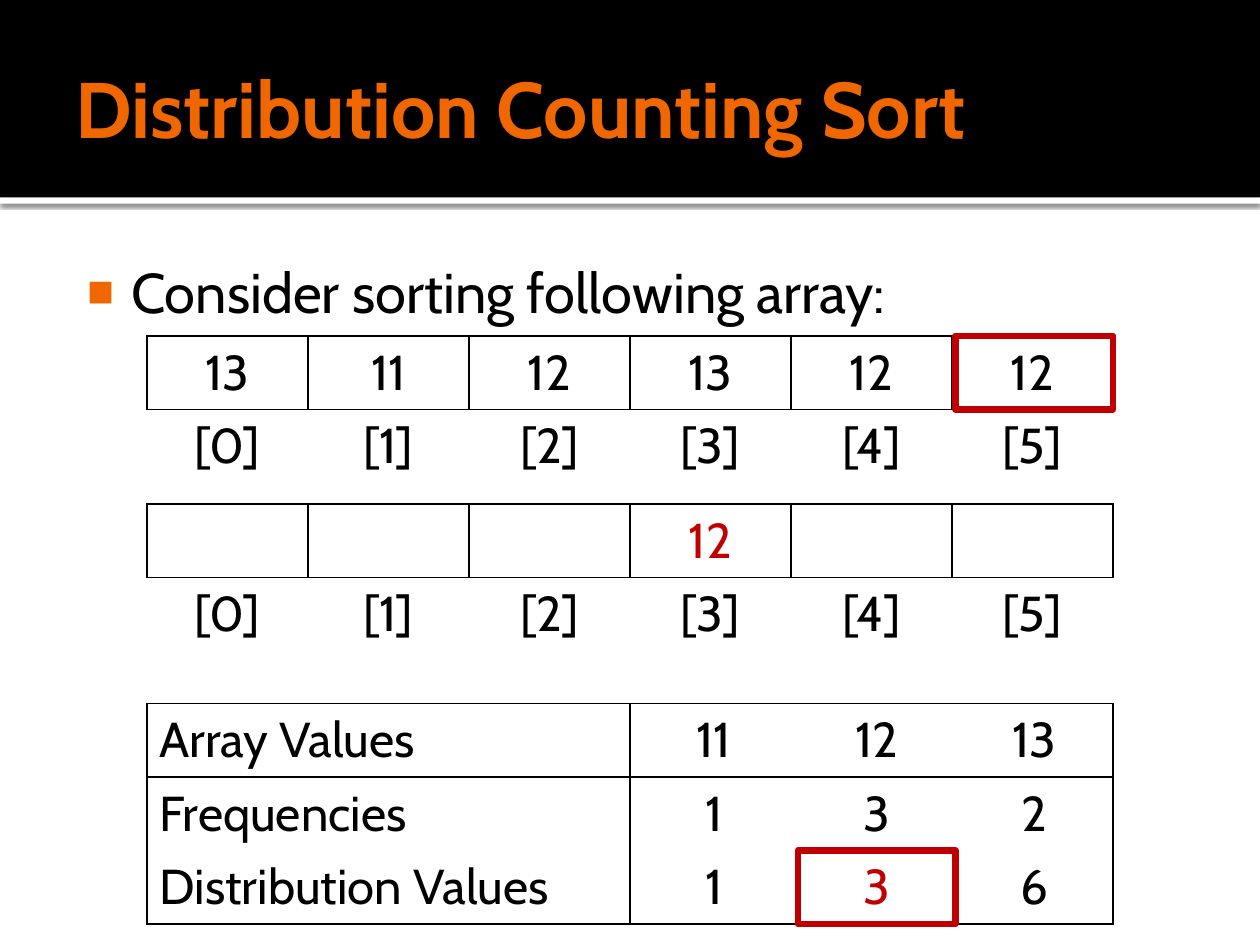
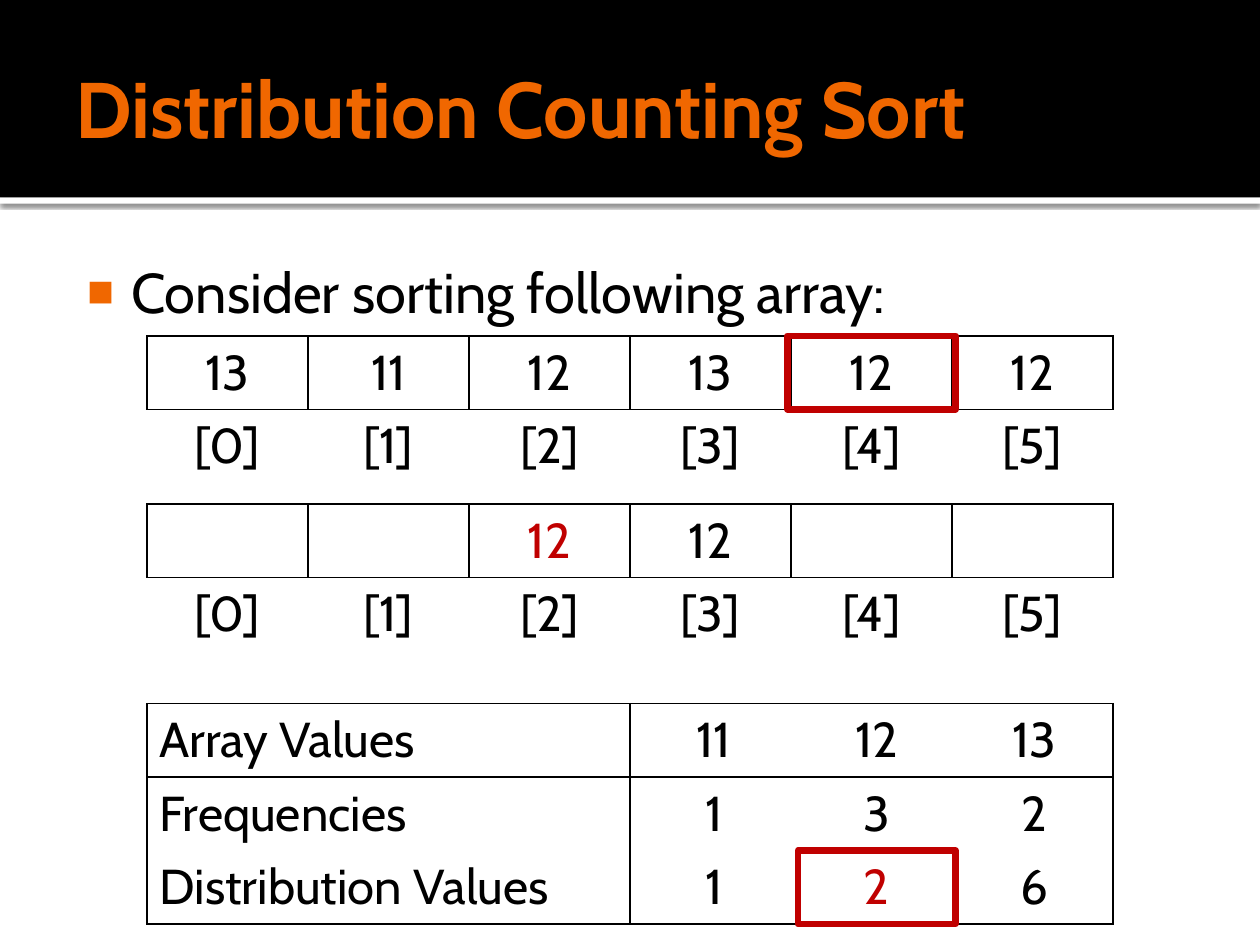
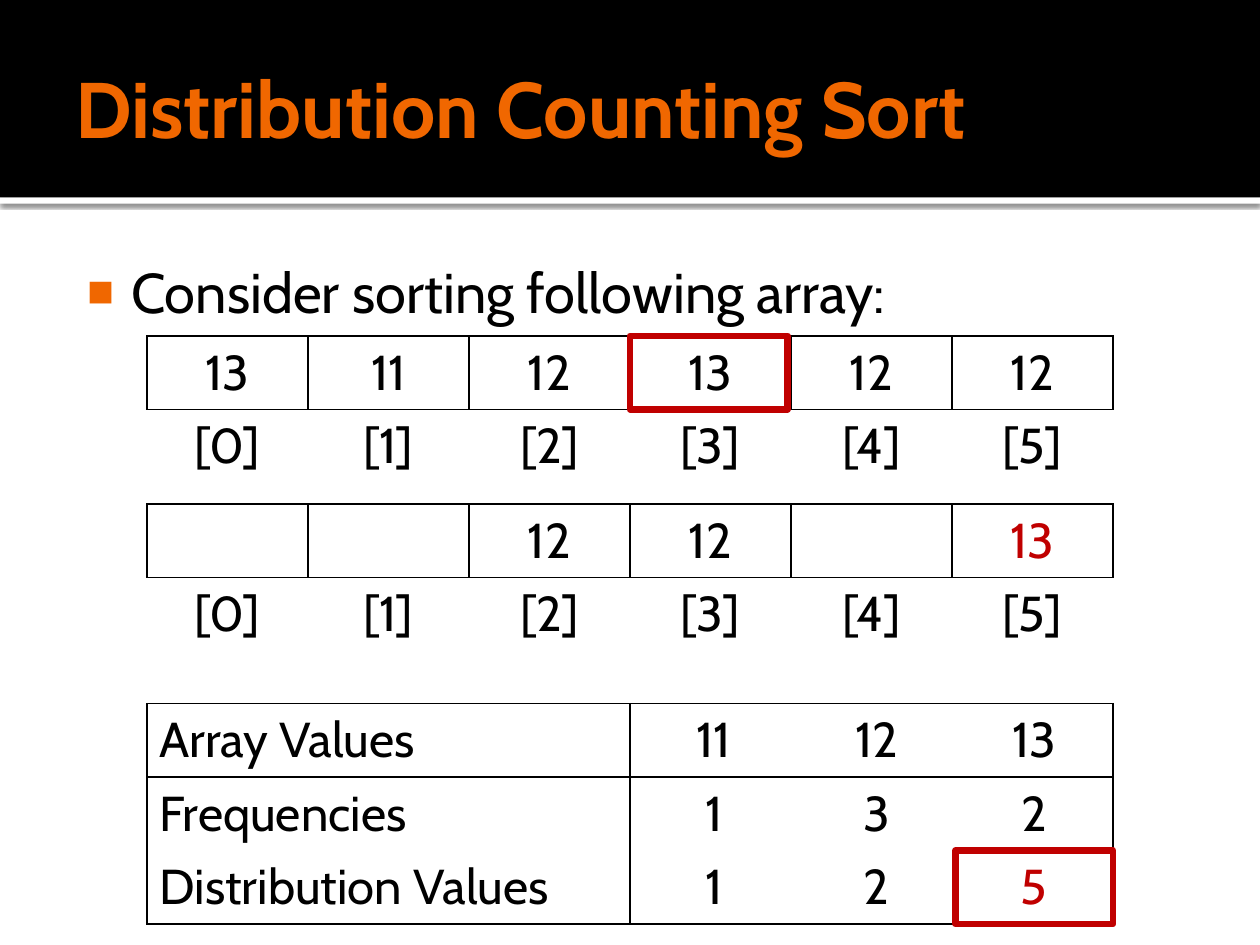
from lxml import etree
from pptx import Presentation, util as u
from pptx.dml.color import RGBColor
from pptx.enum import shapes, text
from pptx.oxml.ns import qn

PX = 7620  # 120 px to the inch
FONT = "Cabin"
BLACK, WHITE, ORANGE, RED = "000000", "FFFFFF", "F06700", "C00000"
TABLE_LEFT, TABLE_WIDTH, ROW_HEIGHT = 140, 920, 70
ARRAY = [13, 11, 12, 13, 12, 12]
COUNT_COLS = [460, 160, 150, 150]

# mark: left and width of the frame on the array; placed: output by index;
# slot: index just filled; dist: distribution values; used: its column
STEPS = [
    dict(mark=(910, 150), placed={3: 12}, slot=3, dist=[1, 3, 6], used=2),
    dict(mark=(750, 160), placed={2: 12, 3: 12}, slot=2, dist=[1, 2, 6], used=2),
    dict(mark=(600, 150), placed={2: 12, 3: 12, 5: 13}, slot=5, dist=[1, 2, 5], used=3),
]


def rgb(color):
    return RGBColor.from_string(color)


def px(*lengths):
    return [u.Emu(round(n * PX)) for n in lengths]


def add(parent, tag, **attrs):
    return etree.SubElement(parent, qn(tag), {k: str(v) for k, v in attrs.items()})


def set_font(font, size, color=BLACK, bold=False):
    values = dict(name=FONT, size=u.Pt(size), bold=bold)
    for name, value in values.items():
        setattr(font, name, value)
    font.color.rgb = rgb(color)


def add_rect(s, box, fill=None, line=None):
    sp = s.shapes.add_shape(shapes.MSO_SHAPE.RECTANGLE, *px(*box))
    sp.shadow.inherit = False
    if fill:
        sp.fill.solid()
        sp.fill.fore_color.rgb = rgb(fill)
    else:
        sp.fill.background()
    if line:
        sp.line.color.rgb = rgb(line)
        sp.line.width = u.Pt(3.78)
        add(sp._element.spPr.find(qn("a:ln")), "a:round")
    else:
        sp.line.fill.background()
    return sp


def add_text(s, box, insets, anchor):
    """Add a wrapping text box and return its first paragraph."""
    tf = s.shapes.add_textbox(*px(*box)).text_frame
    tf.word_wrap = True
    tf.vertical_anchor = anchor
    for side, inset in zip(("left", "top", "right", "bottom"), px(*insets)):
        setattr(tf, f"margin_{side}", inset)
    return tf.paragraphs[0]


def add_header(s, width, height):
    strip = add_rect(s, (0, height, width, 6), WHITE)
    effects = strip._element.spPr.find(qn("a:effectLst"))
    shadow = add(effects, "a:outerShdw", blurRad=u.Pt(2.5), dist=u.Pt(0.8),
                 dir=90 * 60000, algn="tl", rotWithShape=0)
    add(add(shadow, "a:srgbClr", val=BLACK), "a:alpha", val=60000)
    add_rect(s, (0, 0, width, height), BLACK)
    p = add_text(s, (60, 20, width - 120, 164), (12, 6, 6, 6), text.MSO_ANCHOR.MIDDLE)
    p.text = "Distribution Counting Sort"
    set_font(p.font, 45, ORANGE, True)


def add_bullet(s, box):
    p = add_text(s, box, (7, 12, 12, 6), text.MSO_ANCHOR.TOP)
    pPr = p._p.get_or_add_pPr()
    indent, hanging = px(58, -42)
    pPr.set("marL", str(indent))
    pPr.set("indent", str(hanging))
    add(add(pPr, "a:buClr"), "a:srgbClr", val=ORANGE)
    add(pPr, "a:buSzPct", val=80000)
    add(pPr, "a:buFont", typeface="Arial")
    add(pPr, "a:buChar", char="■")
    p.text = "Consider sorting following array:"
    set_font(p.font, 32)


def set_borders(cell, sides):
    """Draw the borders named by letters out of LRTB, and hide the rest."""
    tcPr = cell._tc.get_or_add_tcPr()
    for side in "LRTB":
        ln = add(tcPr, f"a:ln{side}", w=u.Pt(1))
        if side in sides:
            add(add(ln, "a:solidFill"), "a:srgbClr", val=BLACK)
        else:
            add(ln, "a:noFill")


def add_grid(s, top, widths, rows, borders, red=None, left_cols=0):
    """Add a table; borders gives the sides of each cell, red is one (row, column)."""
    frame = s.shapes.add_table(len(rows), len(widths),
                               *px(TABLE_LEFT, top, TABLE_WIDTH, ROW_HEIGHT * len(rows)))
    table = frame.table
    table.first_row = table.horz_banding = False
    for column, width in zip(table.columns, px(*widths)):
        column.width = width
    for r, values in enumerate(rows):
        table.rows[r].height = px(ROW_HEIGHT)[0]
        for c, value in enumerate(values):
            cell = table.cell(r, c)
            set_borders(cell, borders[r][c])
            cell.fill.background()
            cell.vertical_anchor = text.MSO_ANCHOR.MIDDLE
            p = cell.text_frame.paragraphs[0]
            p.text = str(value)
            p.alignment = text.PP_ALIGN.LEFT if c < left_cols else text.PP_ALIGN.CENTER
            set_font(p.font, 28, RED if (r, c) == red else BLACK)


def add_array(s, top, values, red=None):
    n = len(values)
    rows = [values, [f"[{i}]" for i in range(n)]]
    add_grid(s, top, [TABLE_WIDTH / n] * n, rows, [["LRTB"] * n, ["T"] * n], red)


def add_counts(s, top, dist, used):
    rows = [["Array Values", 11, 12, 13],
            ["Frequencies", 1, 3, 2],
            ["Distribution Values", *dist]]
    borders = [["LRTB", "LTB", "TB", "RTB"],
               ["LRT", "LT", "T", "RT"],
               ["LRB", "LB", "B", "RB"]]
    add_grid(s, top, COUNT_COLS, rows, borders, red=(2, used), left_cols=1)
    left = TABLE_LEFT + sum(COUNT_COLS[:used])
    add_rect(s, (left, top + 2 * ROW_HEIGHT, COUNT_COLS[used], ROW_HEIGHT), line=RED)


def add_step(prs, mark, placed, slot, dist, used):
    s = prs.slides.add_slide(prs.slide_layouts[6])
    add_header(s, 1200, 188)
    add_bullet(s, (60, 233, 1080, 607))
    array_top = 320
    add_array(s, array_top, ARRAY)
    add_counts(s, 670, dist, used)
    left, width = mark
    add_rect(s, (left, array_top, width, ROW_HEIGHT), line=RED)
    add_array(s, 480, [placed.get(i, "") for i in range(len(ARRAY))], red=(0, slot))


def main():
    prs = Presentation()
    prs.slide_width, prs.slide_height = px(1200, 900)
    for step in STEPS:
        add_step(prs, **step)
    prs.save("out.pptx")


if __name__ == "__main__":
    main()
